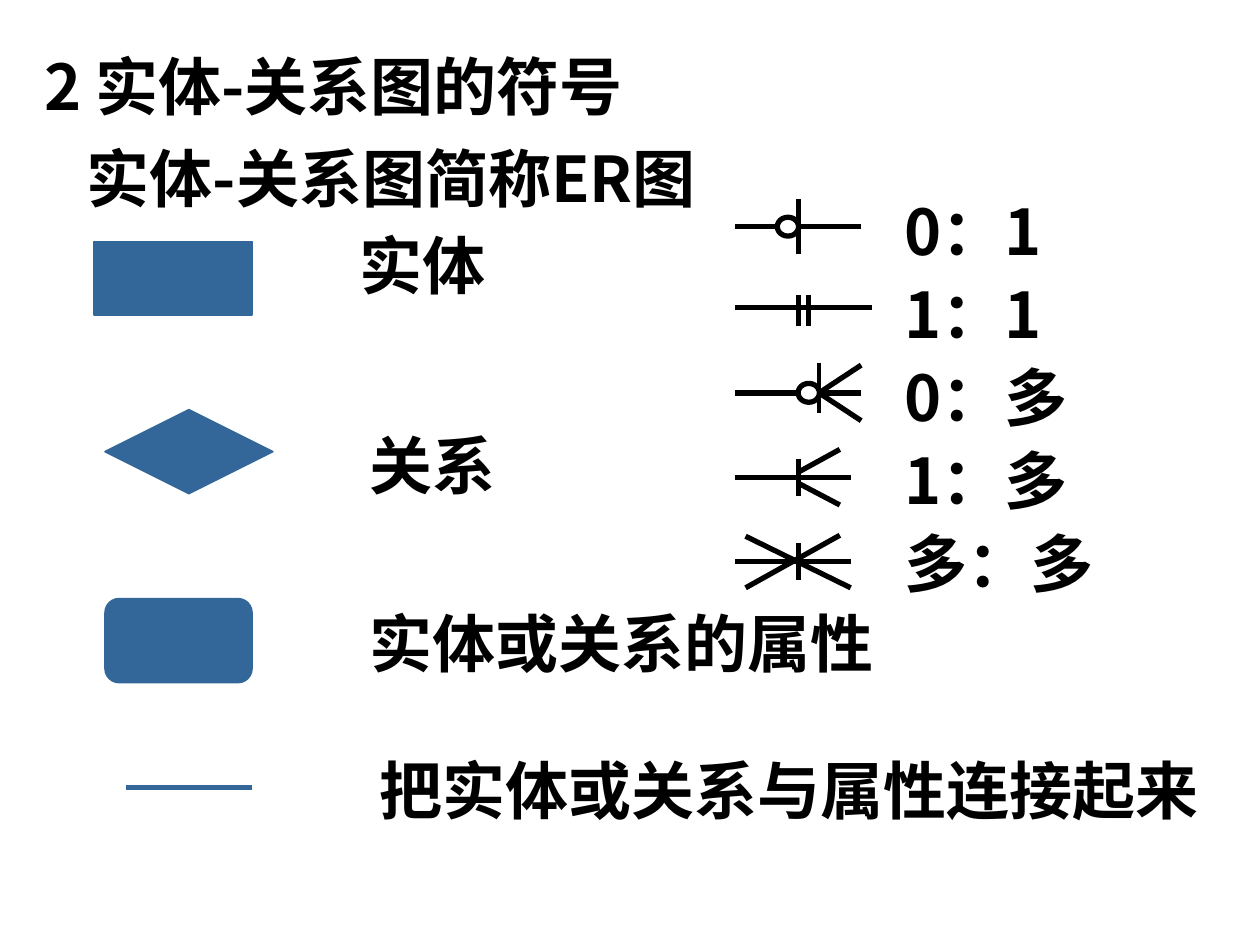
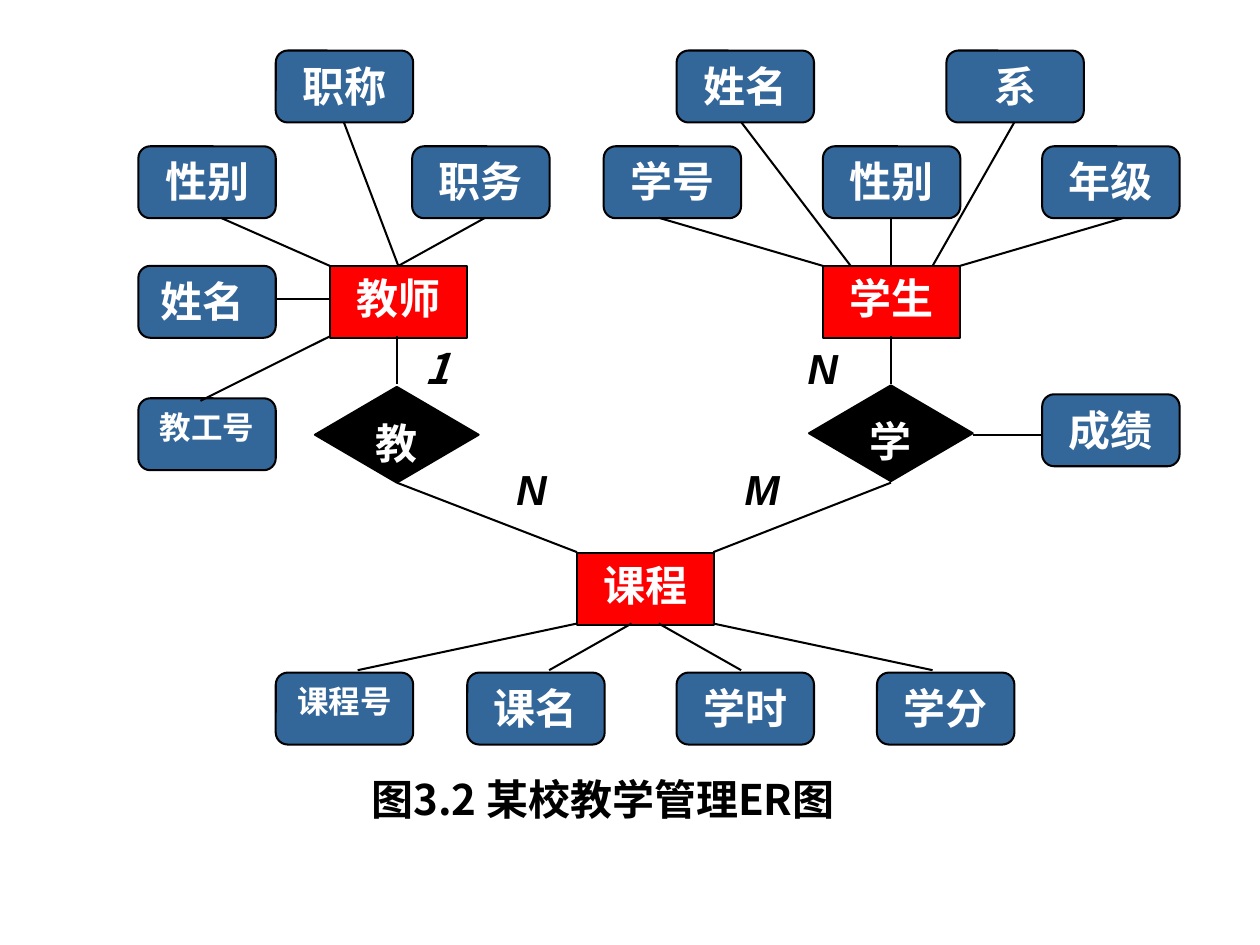
from lxml.etree import SubElement
from pptx import Presentation
from pptx.dml.color import RGBColor
from pptx.enum.shapes import MSO_CONNECTOR as Connector
from pptx.enum.shapes import MSO_SHAPE as Shape
from pptx.enum.text import MSO_ANCHOR as Anchor
from pptx.enum.text import PP_ALIGN as Align
from pptx.oxml.ns import qn
from pptx.util import Cm, Pt

BLUE, RED, BLACK, WHITE = "336699", "FF0000", "000000", "FFFFFF"
SANS, SERIF, LATIN = "Noto Sans CJK SC", "Times New Roman", "Arial"
LINE_HEIGHT = 1.2
THIN, THICK = 1.16, 3
BOX_SIZE = (2.77, 1.45)
DIAMOND_SIZE = (3.3, 1.93)


def color(hex_value):
    return RGBColor.from_string(hex_value)


def write(shape, text, size=36, font=SANS, ink=BLACK, italic=False,
          align=Align.LEFT, spacing=1.0, before=0, indents=()):
    frame = shape.text_frame
    frame.word_wrap = True
    frame.vertical_anchor = Anchor.TOP
    for index, line in enumerate(text.split("\n")):
        para = frame.add_paragraph() if index else frame.paragraphs[0]
        para.alignment = align
        para.line_spacing = Pt(size * LINE_HEIGHT * spacing)
        if index:
            para.space_before = Pt(before)
        if index < len(indents):
            para._p.get_or_add_pPr().set("marL", str(Cm(indents[index])))
        span = para.add_run()
        span.text = line
        span.font.size = Pt(size)
        span.font.bold = True
        span.font.italic = italic
        span.font.color.rgb = color(ink)
        span.font.name = font
        SubElement(span._r.get_or_add_rPr(), qn("a:ea")).set("typeface", SANS)


def add_text(page, text, left, top, width, height, **style):
    box = page.shapes.add_textbox(Cm(left), Cm(top), Cm(width), Cm(height))
    write(box, text, **style)


def add_figure(page, kind, left, top, width, height, fill=BLUE, outline=BLUE, weight=1.0):
    figure = page.shapes.add_shape(kind, Cm(left), Cm(top), Cm(width), Cm(height))
    figure.shadow.inherit = False
    figure.fill.solid()
    figure.fill.fore_color.rgb = color(fill)
    figure.line.color.rgb = color(outline)
    figure.line.width = Pt(weight)
    return figure


def add_line(page, x1, y1, x2, y2, ink=BLACK, weight=THIN):
    line = page.shapes.add_connector(Connector.STRAIGHT, Cm(x1), Cm(y1), Cm(x2), Cm(y2))
    line.line.color.rgb = color(ink)
    line.line.width = Pt(weight)
    SubElement(line._element.spPr, qn("a:effectLst"))


def add_node(page, kind, text, left, top, size, fill, font_size=24):
    node = add_figure(page, kind, left, top, *size, fill=fill, outline=BLACK, weight=THIN)
    write(node, text, size=font_size, font=SERIF, ink=WHITE, align=Align.CENTER)


def add_attribute(page, text, left, top):
    add_node(page, Shape.ROUNDED_RECTANGLE, text, left, top, BOX_SIZE, BLUE,
             font_size=18 if len(text.strip()) > 2 else 24)


def add_cardinality(page, y, end, ticks, branches=(), circle=None):
    start = 14.82
    add_line(page, start, y, end, y, weight=THICK)
    for x, rise, drop, weight in ticks:
        add_line(page, x, y - rise, x, y + drop, weight=weight)
    for x1, dy1, x2, dy2 in branches:
        add_line(page, x1, y + dy1, x2, y + dy2, weight=THICK)
    if circle:
        add_figure(page, Shape.OVAL, circle, y - 0.19, 0.43, 0.38,
                   fill=WHITE, outline=BLACK, weight=THICK)


def build_symbols(page):
    add_text(page, "2 实体-关系图的符号\n实体-关系图简称ER图", 0.64, 0.84, 22.86, 3.81,
             before=9, indents=(0, 0.86))

    add_figure(page, Shape.RECTANGLE, 1.9, 4.87, 3.18, 1.48)
    add_figure(page, Shape.FLOWCHART_DECISION, 2.12, 8.26, 3.38, 1.69)
    add_figure(page, Shape.FLOWCHART_ALTERNATE_PROCESS, 2.12, 12.07, 2.96, 1.69)
    add_line(page, 2.54, 15.88, 5.08, 15.88, ink=BLUE, weight=THICK)

    for meaning, left, top, width in (
        ("实体", 6.99, 4.45, 7.82),
        ("关系", 7.2, 8.47, 4.87),
        ("实体或关系的属性", 7.2, 12.07, 11.64),
        ("把实体或关系与属性连接起来", 7.41, 15.03, 17.98),
    ):
        add_text(page, meaning, left, top, width, 1.78, font=SERIF)

    add_text(page, "0：1\n1：1\n0：多\n1：多\n多：多", 17.99, 3.6, 4.87, 8.64, spacing=1.1)

    middle = 16.09
    short_tick = (middle, 0.37, 0.37, THICK)
    add_cardinality(page, 4.57, 17.36, [(middle, 0.56, 0.56, THICK)], circle=15.67)
    add_cardinality(page, 6.2, 17.57, [(x, 0.25, 0.38, THICK) for x in (middle, 16.3)])
    add_cardinality(page, 7.92, 17.36, [(16.51, 0.61, 0.41, 2.25)],
                    [(16.51, 0, 17.36, dy) for dy in (-0.56, 0.56)], circle=middle)
    add_cardinality(page, 9.62, 17.15, [short_tick],
                    [(middle, -0.1, 16.93, -0.56), (middle, 0.12, 16.93, 0.56)])
    add_cardinality(page, 11.32, 17.15, [short_tick],
                    [(15.03, -0.51, 17.15, 0.53), (16.93, -0.53, 15.03, 0.53)])


def build_school_diagram(page):
    upper, lower, entity_top, course_top = 1.02, 2.95, 5.36, 13.56
    for text, left, top in (
        ("职称", 5.56, upper), ("职务", 8.31, lower), ("性别", 2.79, lower),
        ("姓名 ", 2.79, entity_top), ("教工号", 2.79, 8.03),
        ("姓名", 13.64, upper), ("系", 19.08, upper), ("学号", 12.17, lower),
        ("性别", 16.59, lower), ("年级", 21.01, lower), ("成绩", 21.01, 7.95),
        ("课程号", 5.56, course_top), ("课名", 9.42, course_top),
        ("学时", 13.64, course_top), ("学分", 17.68, course_top),
    ):
        add_attribute(page, text, left, top)

    for text, left, top in (("教师", 6.65, entity_top), ("学生", 16.59, entity_top),
                            ("课程", 11.63, 11.15)):
        add_node(page, Shape.RECTANGLE, text, left, top, BOX_SIZE, RED)
    for text, left, top in (("教", 6.35, 7.8), ("学", 16.31, 7.77)):
        add_node(page, Shape.DIAMOND, text, left, top, DIAMOND_SIZE, BLACK)

    teacher_links = [
        (8, 6.78, 8, 7.75), (6.65, 6.78, 4.04, 8.08), (5.56, 6.02, 6.65, 6.02),
        (6.65, 5.36, 4.45, 4.39), (8.03, 5.36, 6.93, 2.46), (8.03, 5.36, 9.78, 4.39),
    ]
    student_links = [
        (17.96, 6.78, 17.96, 7.75), (16.59, 5.36, 13.28, 4.39), (19.35, 5.36, 22.66, 4.39),
        (17.96, 5.36, 17.96, 4.39), (17.15, 5.36, 14.94, 2.46), (18.8, 5.36, 20.45, 2.46),
        (19.61, 8.76, 21.01, 8.76),
    ]
    course_links = [(8, 9.73, 11.63, 11.13), (17.96, 9.73, 14.38, 11.13)] + [
        (x1, 12.57, x2, 13.51)
        for x1, x2 in ((11.63, 7.21), (12.73, 11.07), (13.28, 14.94), (14.38, 18.8))
    ]
    for link in teacher_links + student_links + course_links:
        add_line(page, *link)

    for text, left, top, font in (("1", 8.31, 6.78, SANS), ("N", 16.03, 6.78, LATIN),
                                  ("N", 10.16, 9.22, LATIN), ("M", 14.76, 9.22, LATIN)):
        add_text(page, text, left, top, 1.65, 1.45, size=24, font=font, italic=True)
    add_text(page, "图3.2 某校教学管理ER图", 5.26, 15.47, 13.79, 1.45,
             size=24, align=Align.CENTER)


def main():
    deck = Presentation()
    deck.slide_width, deck.slide_height = Cm(25.4), Cm(19.05)
    blank = deck.slide_layouts[6]
    for build in (build_symbols, build_school_diagram):
        build(deck.slides.add_slide(blank))
    deck.save("out.pptx")


if __name__ == "__main__":
    main()
